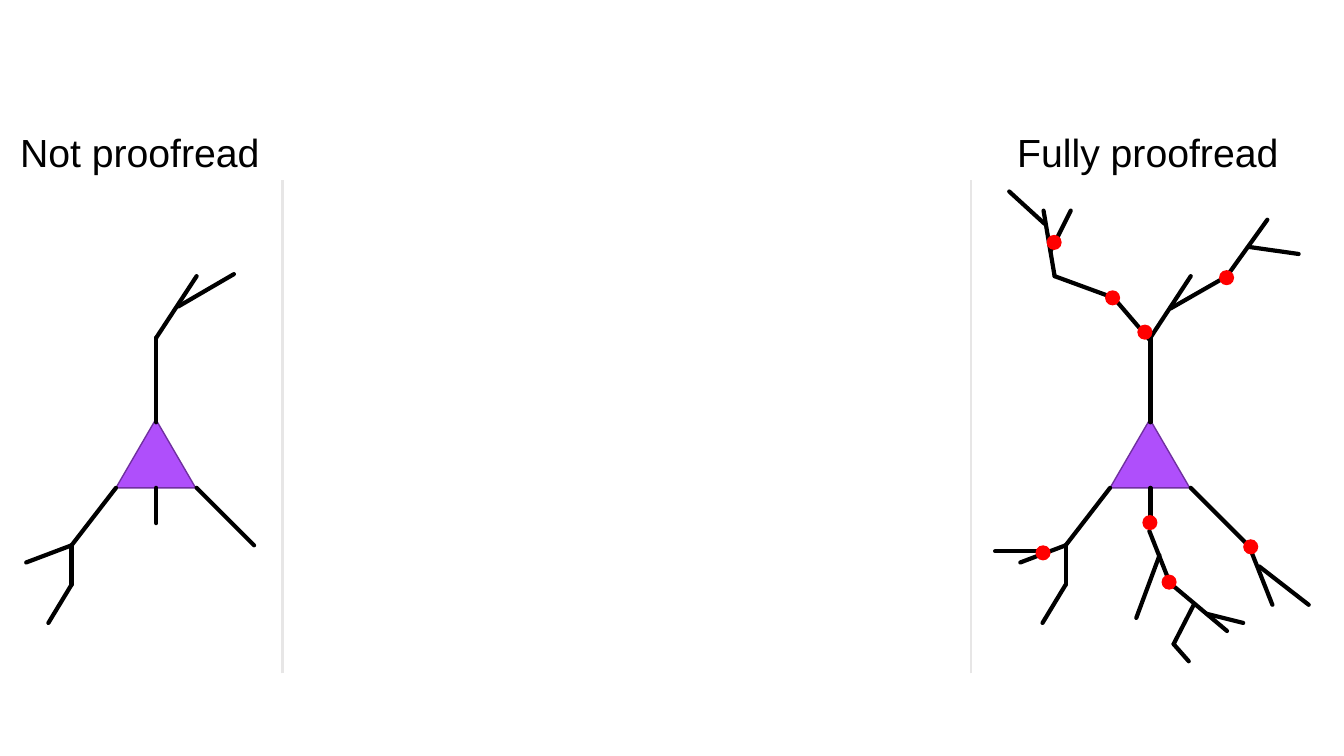
from pptx import Presentation
from pptx.dml.color import RGBColor
from pptx.enum import shapes as es, text as et
from pptx.oxml.ns import qn
from pptx.util import Inches, Pt
from lxml import etree

BLACK = RGBColor(0x00, 0x00, 0x00)
GRAY = RGBColor(0xE7, 0xE6, 0xE6)
PURPLE = RGBColor(0xAF, 0x4F, 0xFB)
VIOLET = RGBColor(0x70, 0x30, 0xA0)
RED = RGBColor(0xFF, 0x00, 0x00)

SHIFT = 9.86  # distance between the two neurons
DOT = 0.15

# Branches as x1, y1, x2, y2
BASE = [
    (1.55, 4.19, 1.55, 3.35), (2.52, 5.41, 1.95, 4.84),
    (1.55, 5.19, 1.55, 4.84), (0.71, 5.41, 1.15, 4.84),
    (1.55, 3.35, 1.95, 2.74), (0.26, 5.58, 0.71, 5.41),
    (0.71, 5.8, 0.71, 5.41), (0.48, 6.18, 0.71, 5.8),
]
TWIG = (2.32, 2.72, 1.77, 3.04)
ADDED = [
    (11.41, 3.38, 11.05, 2.96), (11.06, 2.96, 10.46, 2.74),
    (10.46, 2.74, 10.35, 2.09), (11.61, 5.8, 11.4, 5.27),
    (12.17, 6.26, 11.61, 5.79), (12.62, 6, 12.41, 5.47),
    (12.98, 6, 12.49, 5.62), (12.17, 2.74, 11.61, 3.06),
    (10.32, 5.47, 9.87, 5.47), (12.57, 2.18, 12.19, 2.71),
    (12.88, 2.52, 12.39, 2.45), (10.36, 2.22, 10.01, 1.9),
    (10.62, 2.09, 10.42, 2.49), (11.84, 6, 11.64, 6.39),
    (11.64, 6.39, 11.79, 6.56), (11.97, 6.09, 12.33, 6.18),
    (11.27, 6.13, 11.5, 5.51),
]
# Left and top of each edit point
EDITS = [
    (11.28, 3.22), (10.96, 2.88), (11.52, 5.7), (12.09, 2.68),
    (11.33, 5.11), (12.33, 5.35), (10.27, 5.41), (10.38, 2.33),
]


def add_line(parent, ends, color=BLACK, width=3, cap="rnd"):
    line = parent.add_connector(es.MSO_CONNECTOR.STRAIGHT, *map(Inches, ends))
    line.line.color.rgb = color
    line.line.width = Pt(width)
    line.line._get_or_add_ln().set("cap", cap)
    etree.SubElement(line._element.spPr, qn("a:effectLst"))


def add_solid(parent, kind, box, fill):
    solid = parent.add_shape(kind, *map(Inches, box))
    solid.shadow.inherit = False
    solid.fill.solid()
    solid.fill.fore_color.rgb = fill
    return solid


prs = Presentation()
prs.slide_width = Inches(13.33)
prs.slide_height = Inches(7.5)
slide = prs.slides.add_slide(prs.slide_layouts[6])

# Headings
for label, left, width in (("Not proofread", 0.1, 2.61),
                           ("Fully proofread", 9.99, 2.83)):
    box = slide.shapes.add_textbox(Inches(left), Inches(1.22), Inches(width), Inches(0.57))
    frame = box.text_frame
    frame.word_wrap = False
    frame.auto_size = et.MSO_AUTO_SIZE.SHAPE_TO_FIT_TEXT
    frame.text = label
    font = frame.paragraphs[0].runs[0].font
    font.name = "Arial"
    font.size = Pt(28)
    font.color.rgb = BLACK

# Dividers
for x in (2.8, 9.63):
    add_line(slide.shapes, (x, 6.68, x, 1.79), GRAY, 2, "flat")

# Neurons: the second one has the same base plus the added branches
full = slide.shapes.add_group_shape().shapes
for parent, dx, extra in ((slide.shapes, 0, [TWIG]), (full, SHIFT, ADDED)):
    soma = add_solid(parent, es.MSO_SHAPE.ISOSCELES_TRIANGLE,
                     (1.15 + dx, 4.16, 0.79, 0.68), PURPLE)
    soma.line.color.rgb = VIOLET
    soma.line.width = Pt(1)
    for x1, y1, x2, y2 in BASE:
        add_line(parent, (x1 + dx, y1, x2 + dx, y2))
    for ends in extra:
        add_line(parent, ends)

# Edit points
for x, y in EDITS:
    dot = add_solid(full, es.MSO_SHAPE.OVAL, (x, y, DOT, DOT), RED)
    dot.line.fill.background()

prs.save("out.pptx")
